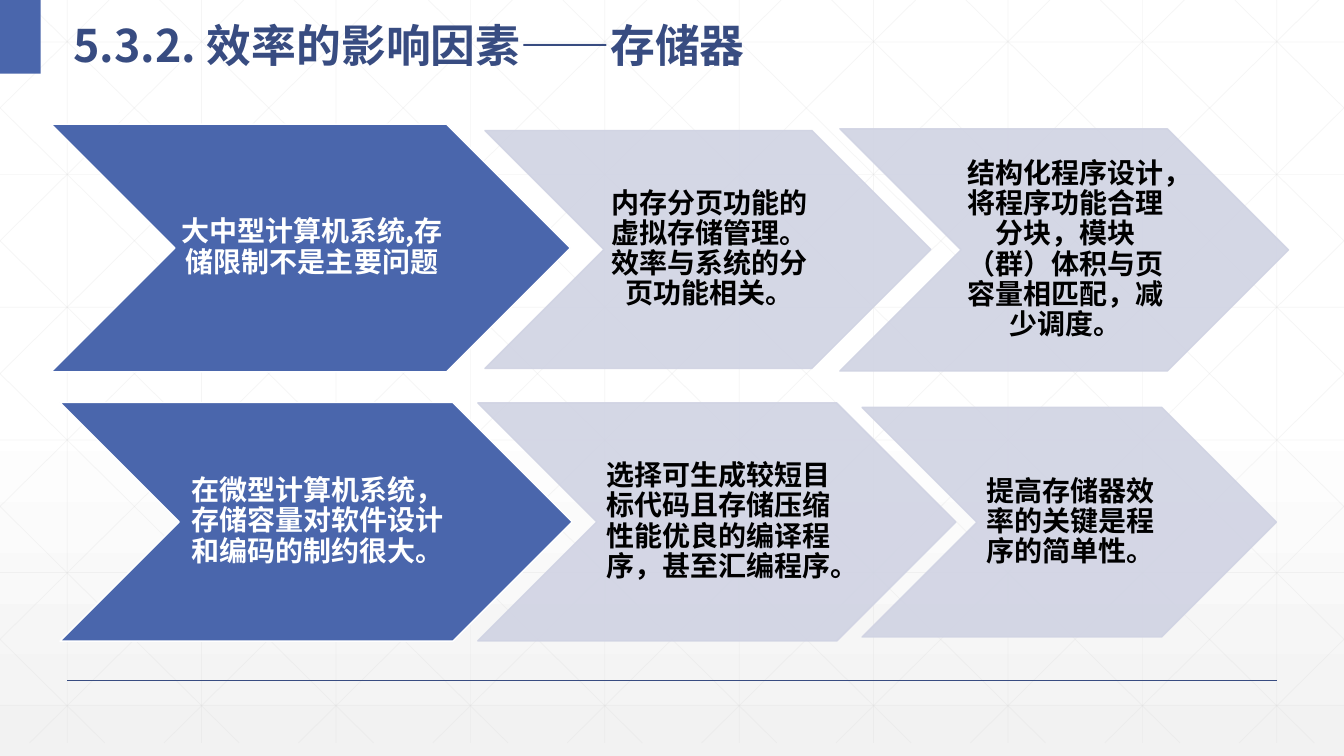
from lxml import etree
from pptx import Presentation
from pptx.dml.color import RGBColor
from pptx.enum.shapes import MSO_CONNECTOR, MSO_SHAPE
from pptx.enum.text import MSO_ANCHOR, PP_ALIGN
from pptx.oxml.ns import qn
from pptx.util import Pt

RECT, CHEVRON, STRAIGHT = MSO_SHAPE.RECTANGLE, MSO_SHAPE.CHEVRON, MSO_CONNECTOR.STRAIGHT
MIDDLE, CENTER, LEFT = MSO_ANCHOR.MIDDLE, PP_ALIGN.CENTER, PP_ALIGN.LEFT

WHITE = RGBColor(0xFF, 0xFF, 0xFF)
BLACK = RGBColor(0x00, 0x00, 0x00)
BLUE = RGBColor(0x4A, 0x66, 0xAC)
NAVY = RGBColor(0x38, 0x4C, 0x81)
PALE = RGBColor(0xD0, 0xD3, 0xE3)
GRID = RGBColor(0xD9, 0xD9, 0xD9)
MIST = RGBColor(0xF2, 0xF2, 0xF2)

CJK, LATIN = "Noto Sans CJK SC", "Arial"
W, H = 960, 540


def set_alpha(parent, percent):
    """Make the solid colour under parent partly transparent."""
    clr = parent.find(".//" + qn("a:srgbClr"))
    etree.SubElement(clr, qn("a:alpha"), val=str(percent * 1000))


def add_text(tf, runs, size=20, color=BLACK, align=CENTER, spacing=0.9,
             insets=(2, 0.7, 0, 0.7)):
    """Fill a text frame with one paragraph of (text, latin font) runs."""
    tf.word_wrap = True
    tf.vertical_anchor = MIDDLE
    tf.margin_left, tf.margin_top, tf.margin_right, tf.margin_bottom = map(Pt, insets)
    p = tf.paragraphs[0]
    p.alignment, p.line_spacing = align, spacing
    for text, font in runs:
        r = p.add_run()
        r.text = text
        r.font.size, r.font.bold, r.font.name = Pt(size), True, font
        r.font.color.rgb = color
        etree.SubElement(r.font._element, qn("a:ea"), typeface=CJK)


def add_line(s, x1, y1, x2, y2, color, width, alpha=100):
    ln = s.shapes.add_connector(STRAIGHT, Pt(x1), Pt(y1), Pt(x2), Pt(y2))
    ln.line.color.rgb, ln.line.width = color, Pt(width)
    sp_pr = ln._element.spPr
    if alpha < 100:
        set_alpha(sp_pr, alpha)
    etree.SubElement(sp_pr, qn("a:effectLst"))


def add_block(s, kind, x, y, w, h, fill, line=None, alpha=100):
    sp = s.shapes.add_shape(kind, Pt(x), Pt(y), Pt(w), Pt(h))
    sp.shadow.inherit = False
    sp.fill.solid()
    sp.fill.fore_color.rgb = fill
    if line is None:
        sp.line.fill.background()
    else:
        sp.line.color.rgb, sp.line.width = line, Pt(1)
    if alpha < 100:
        set_alpha(sp._element.spPr.find(qn("a:solidFill")), alpha)
        set_alpha(sp._element.spPr.find(qn("a:ln")), alpha)
    return sp


def background(s):
    fill = s.background.fill
    fill.gradient()
    fill.gradient_angle = 270
    stops = s._element.find(".//" + qn("a:gsLst"))
    for gs in list(stops):
        stops.remove(gs)
    for pos, color in ((0, WHITE), (53, WHITE), (100, MIST)):
        gs = etree.SubElement(stops, qn("a:gs"), pos=str(pos * 1000))
        etree.SubElement(gs, qn("a:srgbClr"), val=str(color))


def grid(s, x, y, w, h):
    """Square grid with both families of diagonals, clipped to the box."""
    step, row_step, run = 96, 94.75, 536.8
    slope = h / run
    lines = [(48 + step * i, 0, 48 + step * i, h) for i in range(10)]
    lines += [(0, 30 + row_step * j, w, 30 + row_step * j) for j in range(6)]
    for i in range(-5, 10):
        start = 18 + step * i
        x1, x2 = max(start, 0), min(start + run, w)
        y1, y2 = (x1 - start) * slope, (x2 - start) * slope
        lines += [(x1, y1, x2, y2), (w - x1, y1, w - x2, y2)]
    for x1, y1, x2, y2 in lines:
        add_line(s, x + x1, y + y1, x + x2, y + y2, GRID, 0.5, 25)


def header(s, x, y, w, h):
    """Accent block at the left edge, title beside it."""
    add_block(s, RECT, x, y, 29, h, BLUE)
    left = 45.4
    tb = s.shapes.add_textbox(Pt(x + left), Pt(y), Pt(w - left), Pt(h))
    add_text(tb.text_frame, [("5.3.2. ", CJK), ("效率的影响因素——存储器", LATIN)],
             size=32, color=NAVY, align=LEFT, spacing=1.3, insets=(7.2, 3.6, 7.2, 3.6))


def chevron_row(s, x, y, chevrons):
    """A blue lead chevron followed by pale ones, offset from the row's corner."""
    for i, (dx, dy, w, h, text) in enumerate(chevrons):
        fill, line, color, alpha = (PALE, PALE, BLACK, 90) if i else (BLUE, WHITE, WHITE, 100)
        sp = add_block(s, CHEVRON, x + dx, y + dy, w, h, fill, line, alpha)
        add_text(sp.text_frame, [(text, CJK)], color=color)


LARGE_SYSTEMS = [
    (0, 0, 371, 177, "大中型计算机系统,存储限制不是主要问题"),
    (310, 4.5, 318.5, 170, "内存分页功能的虚拟存储管理。效率与系统的分页功能相关。"),
    (563.5, 3.3, 320.5, 173, "结构化程序设计，将程序功能合理分块，模块（群）体积与页容量相匹配，减少调度。"),
]
MICRO_SYSTEMS = [
    (0, 0, 366, 170.5, "在微型计算机系统，存储容量对软件设计和编码的制约很大。"),
    (298.5, 0.3, 341.5, 170, "选择可生成较短目标代码且存储压缩性能优良的编译程序，甚至汇编程序。"),
    (573, 3.5, 296, 164, "提高存储器效率的关键是程序的简单性。"),
]


def main():
    prs = Presentation()
    prs.slide_width, prs.slide_height = Pt(W), Pt(H)
    s = prs.slides.add_slide(prs.slide_layouts[6])
    background(s)
    grid(s, 0, 0, W, 530.6)
    add_line(s, 48, 486, 912, 486, NAVY, 1)  # footer rule
    header(s, 0, 0, 609, 52.6)
    chevron_row(s, 36.4, 88.7, LARGE_SYSTEMS)
    chevron_row(s, 42.8, 287.5, MICRO_SYSTEMS)
    prs.save("out.pptx")


if __name__ == "__main__":
    main()
